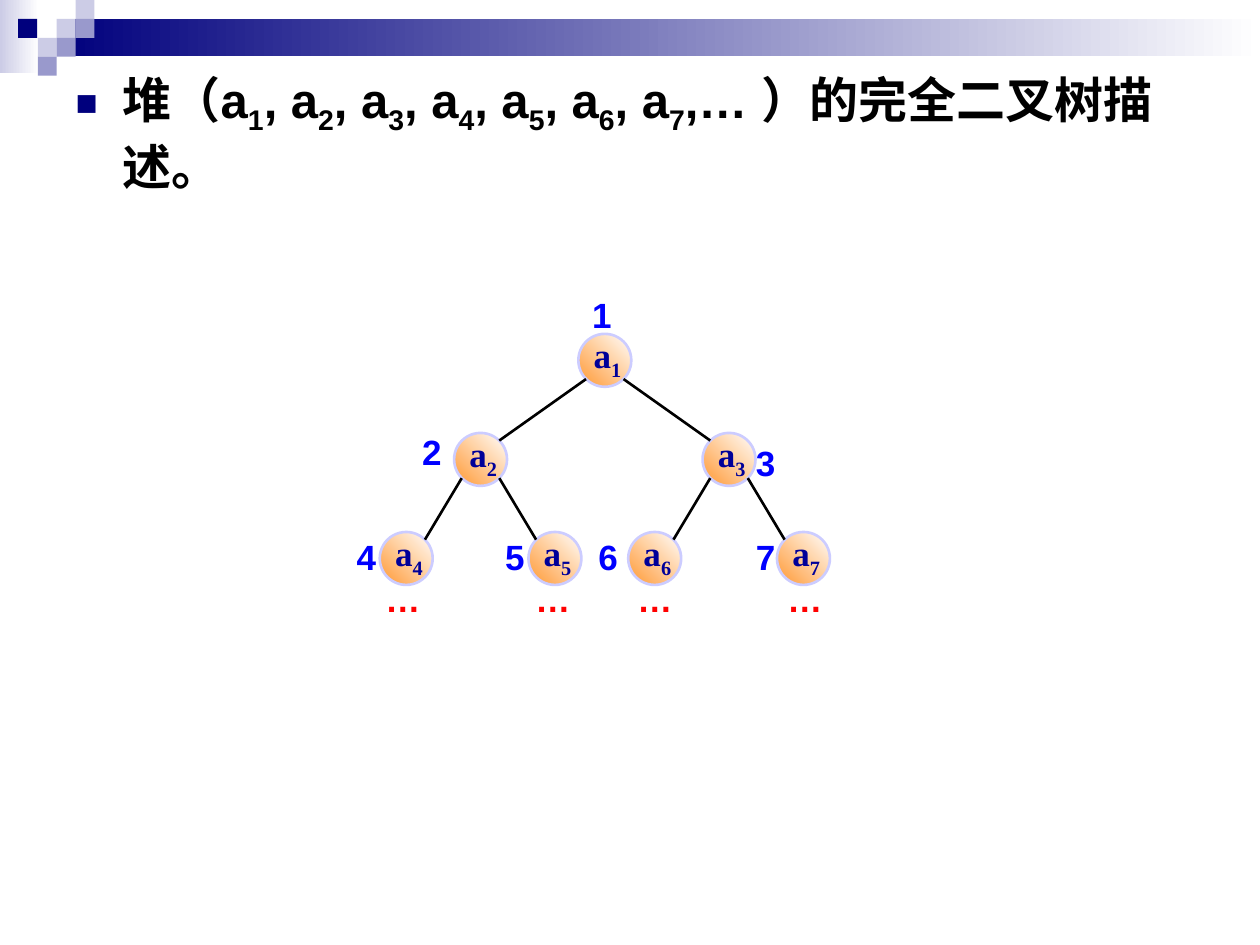
"""Builds a slide showing a heap as a complete binary tree."""
import pptx
import pptx.util
import pptx.dml.color
import pptx.enum.shapes
import pptx.enum.text
import pptx.oxml
import pptx.oxml.ns
from lxml import etree

Pt = pptx.util.Pt
SHAPE = pptx.enum.shapes.MSO_SHAPE
ANCHOR = pptx.enum.text.MSO_ANCHOR

THEME = {
    "navy": "00007D", "pale": "CCCCE6", "lilac": "9999CC", "white": "FFFFFF",
    "ink": "000000", "node": "FF9933", "rim": "CCCCFF", "node_text": "000099",
    "number": "0000FF", "more": "FF0000",
    "sans": "Arial", "serif": "Times New Roman",
    "body_size": 28, "label_size": 20, "line": 1.5,
}

BODY = "堆（a_1, a_2, a_3, a_4, a_5, a_6, a_7,… ）的完全二叉树描述。"
NUMBER_AT = {1: (338.4, 167.8), 2: (241.2, 246.2), 3: (432, 252), 4: (203.8, 306),
             5: (288.7, 306), 6: (342, 306), 7: (432, 306)}
MORE_AT = [(220.3, 329.8), (306, 329.8), (364.3, 329.8), (450, 329.8)]
BANDS = [(0, 0, 22.3, 41.8, "pale"), (32.4, 10.8, 687.6, 21.4, "navy")]
TILE = 10.8
TILES = [(32.4, 10.8, "pale"), (43.2, 0, "pale"), (43.2, 10.8, "lilac"),
         (21.6, 21.6, "pale"), (10.4, 10.8, "navy"), (32.4, 21.6, "lilac"),
         (21.6, 32.4, "lilac")]

ROOT_X, ROOT_Y, LEVEL_GAP, DIAMETER = 345.6, 205.9, 56.6, 30.24
SPREAD = {2: 71, 4: 42.5}


def rgb(name):
    return pptx.dml.color.RGBColor.from_string(THEME[name])


def write(tf, text, *, size, font, color, margins=(0, 0, 0, 0), wrap=False, anchor=ANCHOR.TOP):
    tf.margin_left, tf.margin_top, tf.margin_right, tf.margin_bottom = map(Pt, margins)
    tf.word_wrap = wrap
    tf.vertical_anchor = anchor
    p = tf.paragraphs[0]
    p.alignment = pptx.enum.text.PP_ALIGN.LEFT
    p.space_before = Pt(0)
    head, *rest = text.split("_")
    pieces = [(head, False)]
    for part in rest:
        pieces += [(part[0], True), (part[1:], False)]
    for piece, lowered in pieces:
        if piece:
            r = p.add_run()
            r.text = piece
            r.font.size, r.font.name, r.font.bold = Pt(THEME[size]), THEME[font], True
            r.font.color.rgb = rgb(color)
            if lowered:
                r.font._element.set("baseline", "-25000")
    return p


def add_figure(s, kind, x, y, w, h, color, fade_angle=None):
    sp = s.shapes.add_shape(kind, Pt(x), Pt(y), Pt(w), Pt(h))
    sp.shadow.inherit = False
    sp.line.fill.background()
    if fade_angle is None:
        sp.fill.solid()
        sp.fill.fore_color.rgb = rgb(color)
    else:
        sp.fill.gradient()
        sp.fill.gradient_angle = fade_angle
        for stop, name in zip(sp.fill.gradient_stops, (color, "white")):
            stop.color.rgb = rgb(name)
    return sp


def add_label(s, text, x, y, w, color):
    sp = s.shapes.add_textbox(Pt(x), Pt(y), Pt(w), Pt(24))
    write(sp.text_frame, text, size="label_size", font="sans", color=color)


def add_edge(s, parent, child):
    (px, py), (cx, cy) = parent, child
    corner = DIAMETER / 2 * 0.71
    side = 1 if cx > px else -1
    edge = s.shapes.add_connector(
        pptx.enum.shapes.MSO_CONNECTOR.STRAIGHT,
        Pt(px + side * corner), Pt(py + corner), Pt(cx - side * corner), Pt(cy - corner))
    edge.line.color.rgb = rgb("ink")
    edge.line.width = Pt(THEME["line"])
    etree.SubElement(edge._element.spPr, pptx.oxml.ns.qn("a:effectLst"))


def add_node(s, index, center):
    x, y = (c - DIAMETER / 2 for c in center)
    sp = add_figure(s, SHAPE.OVAL, x, y, DIAMETER, DIAMETER, "node", 45)
    sp.line.color.rgb = rgb("rim")
    sp.line.width = Pt(THEME["line"])
    write(sp.text_frame, f"a_{index}", size="label_size", font="serif", color="node_text",
          margins=(4.3, 0, 7.2, 3.6), anchor=ANCHOR.MIDDLE)


def add_body(s):
    s.shapes.title._element.getparent().remove(s.shapes.title._element)
    body = s.placeholders[1]
    body.left, body.top, body.width, body.height = Pt(36), Pt(36), Pt(648), Pt(504)
    p = write(body.text_frame, BODY, size="body_size", font="sans", color="ink",
              margins=(7.2, 3.6, 7.2, 3.6), wrap=True)
    pPr = p._p.get_or_add_pPr()
    pPr.set("marL", str(Pt(27)))
    pPr.set("indent", str(-Pt(27)))
    color = etree.SubElement(pPr, pptx.oxml.ns.qn("a:buClr"))
    etree.SubElement(color, pptx.oxml.ns.qn("a:srgbClr")).set("val", THEME["navy"])
    for tag, key, value in (("a:buSzPct", "val", "75000"), ("a:buFont", "typeface", THEME["sans"]),
                            ("a:buChar", "char", "■")):
        etree.SubElement(pPr, pptx.oxml.ns.qn(tag)).set(key, value)


def main():
    prs = pptx.Presentation()
    prs.slide_width, prs.slide_height = Pt(720), Pt(540)
    s = prs.slides.add_slide(prs.slide_layouts[1])
    add_body(s)
    for x, y, w, h, color in BANDS:
        add_figure(s, SHAPE.RECTANGLE, x, y, w, h, color, 0)
    for x, y, color in TILES:
        add_figure(s, SHAPE.RECTANGLE, x, y, TILE, TILE, color)

    centers = {1: (ROOT_X, ROOT_Y)}
    for i in range(2, 8):
        x, y = centers[i // 2]
        spread = SPREAD[2 if i < 4 else 4]
        centers[i] = (x + (spread if i % 2 else -spread), y + LEVEL_GAP)
    for i, center in centers.items():
        add_node(s, i, center)
        add_label(s, str(i), *NUMBER_AT[i], 11.5, "number")
    for i in range(2, 8):
        add_edge(s, centers[i // 2], centers[i])
    for x, y in MORE_AT:
        add_label(s, "…", x, y, 20, "more")
    prs.save("out.pptx")


if __name__ == "__main__":
    main()
